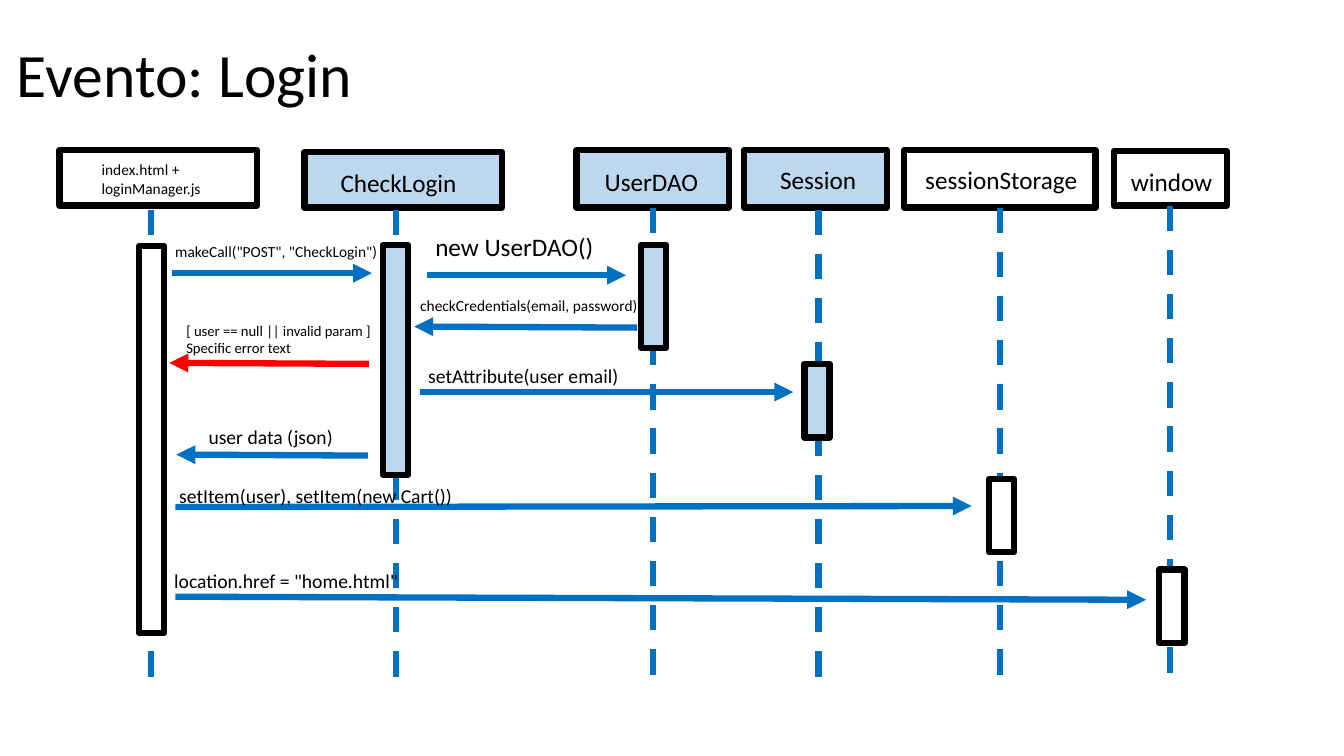
import lxml.etree
import pptx
import pptx.dml.color
import pptx.enum.dml
import pptx.enum.shapes
import pptx.enum.text
import pptx.oxml.ns
import pptx.util

COLORS = {"ink": "000000", "paper": "FFFFFF", "server": "BDD7EE",
          "call": "0070C0", "error": "FF0000"}
CELL = pptx.util.Inches(0.1)
COLUMNS, ROWS = 133.33, 75
BAR_WIDTH = 2.5
LIFELINE_TOP, LIFELINE_END = 20.8, 68.2
STROKE = pptx.util.Pt(4.5)
FRAME_FORMAT = {"word_wrap": True,
                "auto_size": pptx.enum.text.MSO_AUTO_SIZE.SHAPE_TO_FIT_TEXT}
TITLE_FORMAT = {"word_wrap": True,
                "vertical_anchor": pptx.enum.text.MSO_ANCHOR.MIDDLE}

# fill, head box, label, label size, label box, opaque label, lifeline x, joined, bar left, top, height
PARTICIPANTS = [
    ("paper", (5.9, 14.9, 19.6, 5.5), "index.html + loginManager.js", 11,
     (9.1, 15.4, 14.4, 4.7), False, 15, False, (13.8, 24.4, 38.4)),
    ("server", (30.2, 15.1, 19.6, 5.5), "CheckLogin", 18,
     (32.8, 16.1, 14.4, 4), False, 39.3, False, (38, 24.3, 22.8)),
    ("server", (57.2, 14.9, 15.1, 5.7), "UserDAO", 18,
     (59, 16, 12, 4), True, 64.75, True, (63.6, 24.3, 10.2)),
    ("server", (73.8, 14.9, 14.2, 5.7), "Session", 18,
     (76.4, 15.8, 10.2, 4), True, 81.2, False, (79.8, 36.1, 7.3)),
    ("paper", (89.7, 14.9, 19, 5.7), "sessionStorage", 18,
     (90.8, 15.8, 17.1, 4.2), True, 99.2, True, (98.1, 47.5, 7.3)),
    ("paper", (110.5, 15, 11.2, 5.4), "window", 18,
     (111.2, 16, 10.2, 4), True, 116.1, True, (115, 56.5, 7.3)),
]

MESSAGES = [
    ("call", (17.1, 27.1, 36.9, 27.1), ['makeCall("POST", "CheckLogin")'], 11,
     (16.4, 23.5, 22.3, 2.9)),
    ("call", (42.4, 27.3, 62.1, 27.3), ["new UserDAO()"], 18,
     (42.2, 22.5, 18.3, 4)),
    ("call", (63.2, 32.5, 41.1, 32.4), ["checkCredentials(email, password)"], 11,
     (40.7, 28.9, 23.6, 2.9)),
    ("error", (36.6, 36.1, 16.8, 36),
     ["[ user == null || invalid param ]", "Specific error text"], 10.5,
     (17.5, 31.4, 23.6, 4.5)),
    ("call", (41.7, 38.9, 78.7, 38.9), ["setAttribute(user email)"], 14,
     (41.5, 35.6, 21.3, 3.4)),
    ("call", (36.5, 45.2, 17.5, 45.1), ["user data (json)"], 14,
     (19.7, 41.7, 14.9, 3.4)),
    ("call", (17.4, 50.3, 96.4, 50.2), ["setItem(user), setItem(new Cart())"], 14,
     (16.8, 47.5, 32.4, 3.4)),
    ("call", (17.4, 59.2, 113.7, 59.5), ['location.href = "home.html"'], 14,
     (16.3, 55.9, 32.4, 3.4)),
]


def rgb(name):
    """Return the named colour."""
    return pptx.dml.color.RGBColor.from_string(COLORS[name])


def grid(lengths):
    """Turn grid columns and rows into slide lengths."""
    return [round(n * CELL) for n in lengths]


def apply(target, values):
    """Set each attribute of the target from a dict."""
    for key, value in values.items():
        setattr(target, key, value)


def add_box(s, box, fill):
    """Add an outlined rectangle."""
    sp = s.shapes.add_shape(pptx.enum.shapes.MSO_SHAPE.RECTANGLE, *grid(box))
    sp.shadow.inherit = False
    sp.fill.solid()
    sp.fill.fore_color.rgb = rgb(fill)
    sp.line.color.rgb = rgb("ink")
    sp.line.width = STROKE
    return sp


def add_text(s, box, lines, size, frame=FRAME_FORMAT, fill=None, spacing=None):
    """Add a text box with one paragraph per line."""
    sp = s.shapes.add_textbox(*grid(box))
    if fill:
        sp.fill.solid()
        sp.fill.fore_color.rgb = rgb(fill)
    tf = sp.text_frame
    apply(tf, frame)
    for i, line in enumerate(lines):
        p = tf.add_paragraph() if i else tf.paragraphs[0]
        p.line_spacing = spacing
        r = p.add_run()
        r.text = line
        apply(r.font, {"name": "Calibri", "size": pptx.util.Pt(size)})
        r.font.color.rgb = rgb("ink")


def add_line(s, ends, color):
    """Add a thick straight connector without a shadow."""
    line = s.shapes.add_connector(
        pptx.enum.shapes.MSO_CONNECTOR.STRAIGHT, *grid(ends))
    line.line.color.rgb = rgb(color)
    line.line.width = STROKE
    lxml.etree.SubElement(line._element.spPr, pptx.oxml.ns.qn("a:effectLst"))
    return line


def add_lifeline(s, x, head):
    """Add a dashed lifeline, joined to its head if one is given."""
    line = add_line(s, (x, LIFELINE_TOP, x, LIFELINE_END), "call")
    line.line.dash_style = pptx.enum.dml.MSO_LINE.DASH
    if head:
        line.begin_connect(head, 2)


def add_participant(s, fill, head_box, label, size, label_box, opaque, x, joined, bar):
    """Add a head, its label, its lifeline and its activation bar."""
    head = add_box(s, head_box, fill)
    add_text(s, label_box, [label], size, fill=fill if opaque else None)
    add_lifeline(s, x, head if joined else None)
    left, top, height = bar
    add_box(s, (left, top, BAR_WIDTH, height), fill)


def add_message(s, color, ends, lines, size, label_box):
    """Add an arrow and its label."""
    arrow = add_line(s, ends, color)
    ln = arrow.line._get_or_add_ln()
    lxml.etree.SubElement(ln, pptx.oxml.ns.qn("a:tailEnd"), type="triangle")
    add_text(s, label_box, lines, size)


def main():
    """Build the login sequence diagram and save it."""
    prs = pptx.Presentation()
    apply(prs, {"slide_width": round(COLUMNS * CELL),
                "slide_height": ROWS * CELL})
    s = prs.slides.add_slide(prs.slide_layouts[6])
    add_text(s, (0.7, 0.4, 36.5, 14.5), ["Evento: Login"], 44,
             frame=TITLE_FORMAT, spacing=0.9)
    for participant in PARTICIPANTS:
        add_participant(s, *participant)
    for message in MESSAGES:
        add_message(s, *message)
    prs.save("out.pptx")


if __name__ == "__main__":
    main()
